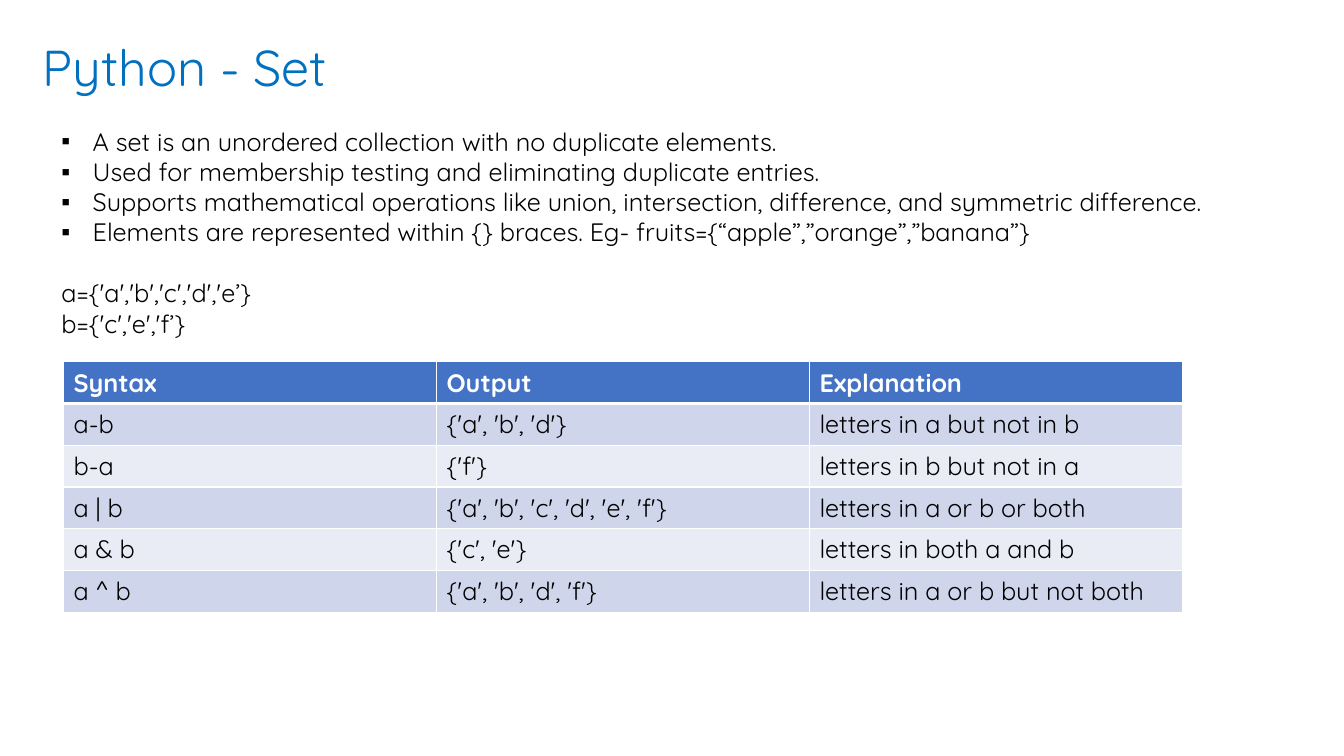
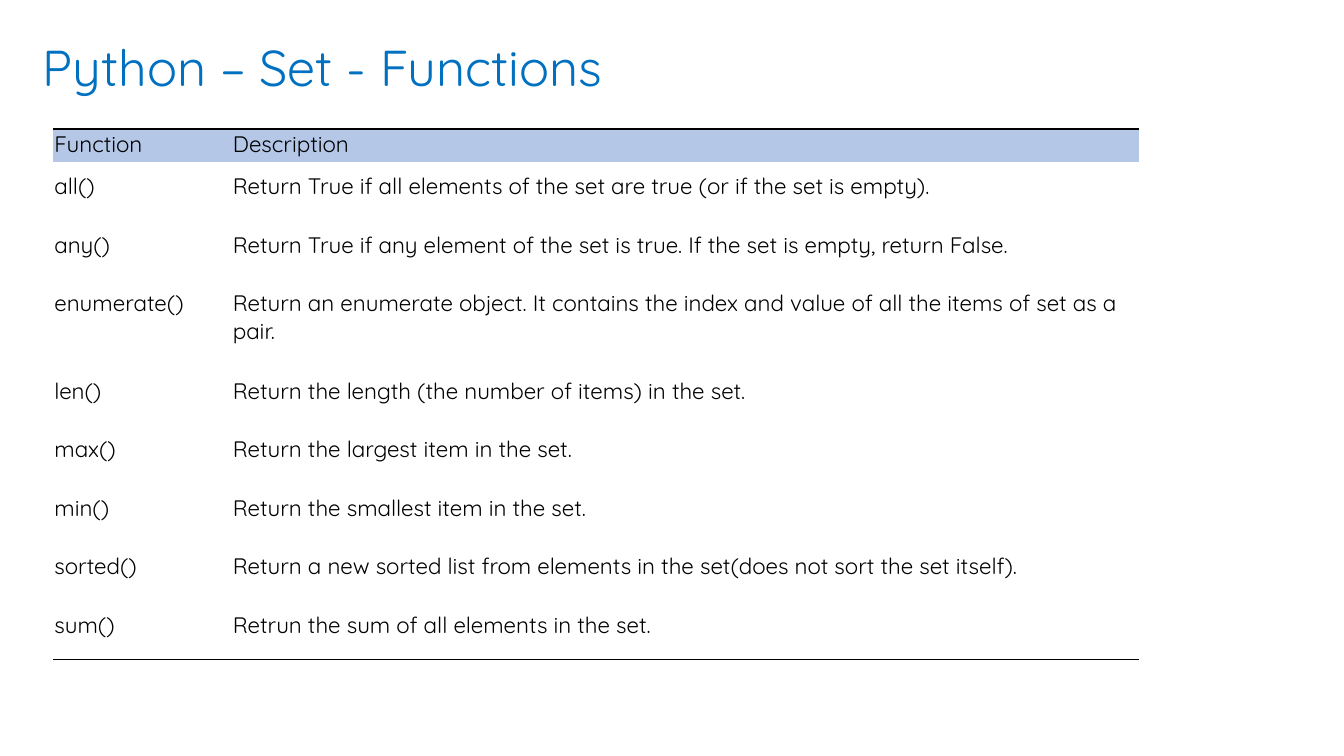
from lxml import etree
from pptx import Presentation
from pptx.dml.color import RGBColor
from pptx.enum.text import MSO_ANCHOR, MSO_AUTO_SIZE, PP_ALIGN
from pptx.oxml.ns import qn
from pptx.util import Inches, Pt

TOP, LEFT, NO_FIT = MSO_ANCHOR.TOP, PP_ALIGN.LEFT, MSO_AUTO_SIZE.NONE
FONT = "Quicksand"
BLUE, BLACK, WHITE = "0070C0", "000000", "FFFFFF"
HEAD, BANDS = "4472C4", ("CFD5EA", "E9EBF5")
PALE = "B4C7E7"
PLAIN = "{2D5ABB26-0587-4C30-8999-92F81FD0307C}"  # No Style, No Grid
FULL, TITLE_ONLY = 1, 5

POINTS = [
    "A set is an unordered collection with no duplicate elements.",
    "Used for membership testing and eliminating duplicate entries.",
    "Supports mathematical operations like union, intersection, difference, "
    "and symmetric difference.",
    "Elements are represented within {} braces. "
    "Eg- fruits={“apple”,”orange”,”banana”}",
]
CODE = ["a={'a','b','c','d','e’}", "b={'c','e','f’}"]
SYNTAX = [
    ("Syntax", "Output", "Explanation"),
    ("a-b", "{'a', 'b', 'd'}", "letters in a but not in b"),
    ("b-a", "{'f'}", "letters in b but not in a"),
    ("a | b", "{'a', 'b', 'c', 'd', 'e', 'f'}", "letters in a or b or both"),
    ("a & b", "{'c', 'e'}", "letters in both a and b"),
    ("a ^ b", "{'a', 'b', 'd', 'f'}", "letters in a or b but not both"),
]
FUNCTIONS = [
    ("Function", "Description"),
    ("all()", "Return True if all elements of the set are true "
              "(or if the set is empty)."),
    ("any()", "Return True if any element of the set is true. "
              "If the set is empty, return False."),
    ("enumerate()", "Return an enumerate object. It contains the index and "
                    "value of all the items of set as a pair."),
    ("len()", "Return the length (the number of items) in the set."),
    ("max()", "Return the largest item in the set."),
    ("min()", "Return the smallest item in the set."),
    ("sorted()", "Return a new sorted list from elements in the set"
                 "(does not sort the set itself)."),
    ("sum()", "Retrun the sum of all elements in the set."),
]


def style(para, size, color=BLACK, bold=False):
    for run in para.runs:
        font = run.font
        font.name, font.size, font.bold = FONT, Pt(size), bold
        font.color.rgb = RGBColor.from_string(color)


def place(shape, left, top, width, height):
    shape.left, shape.top = Inches(left), Inches(top)
    shape.width, shape.height = Inches(width), Inches(height)


def add_slide(prs, layout, title):
    slide = prs.slides.add_slide(prs.slide_layouts[layout])
    shape = slide.shapes.title
    place(shape, 0.32, 0.31, 9.51, 0.71)
    frame = shape.text_frame
    frame.text = title
    frame.vertical_anchor, frame.auto_size = TOP, NO_FIT
    frame.paragraphs[0].alignment = LEFT
    style(frame.paragraphs[0], 36, BLUE)
    return slide


def mark(para, char=None):
    """Set a hanging bullet, or none when no character is given."""
    props = para._p.get_or_add_pPr()
    hang = Inches(0.31) if char else 0
    props.set("marL", str(hang))
    props.set("indent", str(-hang))
    if char:
        etree.SubElement(props, qn("a:buFont"), typeface="Arial")
        etree.SubElement(props, qn("a:buChar"), char=char)
    else:
        etree.SubElement(props, qn("a:buNone"))


def fill_body(shape, points, code):
    place(shape, 0.51, 1.2, 12.54, 2.83)
    frame = shape.text_frame
    frame.text = "\n".join(points + code)
    frame.auto_size = NO_FIT
    for i, para in enumerate(frame.paragraphs):
        mark(para, "▪" if i < len(points) else None)
        para.space_before = Pt(22 if i == len(points) else 0)
        style(para, 18)


def add_table(slide, rows, left, top, widths, heights):
    frame = slide.shapes.add_table(
        len(rows), len(widths), Inches(left), Inches(top),
        Inches(sum(widths)), Inches(sum(heights)))
    table = frame.table
    table._tbl.tblPr.find(qn("a:tableStyleId")).text = PLAIN
    table.horz_banding = False
    for col, width in zip(table.columns, widths):
        col.width = Inches(width)
    for row, height, texts in zip(table.rows, heights, rows):
        row.height = Inches(height)
        for cell, text in zip(row.cells, texts):
            cell.text = text
    return table


def border(cell, sides, color, width=1):
    """Draw the sides, a string of L, R, T and B in that order."""
    props = cell._tc.get_or_add_tcPr()
    for side in sides:
        line = etree.SubElement(props, qn(f"a:ln{side}"), w=str(Pt(width)))
        fill = etree.SubElement(line, qn("a:solidFill"))
        etree.SubElement(fill, qn("a:srgbClr"), val=color)


def paint(cell, color):
    cell.fill.solid()
    cell.fill.fore_color.rgb = RGBColor.from_string(color)


def pad(cell, top, bottom):
    cell.margin_left = cell.margin_right = Inches(0.01)
    cell.margin_top, cell.margin_bottom = Inches(top), Inches(bottom)


def add_syntax(slide):
    table = add_table(slide, SYNTAX, 0.63, 3.59, [3.7] * 3,
                      [0.41] * len(SYNTAX))
    for i, row in enumerate(table.rows):
        head = i == 0
        for cell in row.cells:
            border(cell, "LRT" if head else "LR", WHITE)
            border(cell, "B", WHITE, 3 if head else 1)
            paint(cell, HEAD if head else BANDS[(i - 1) % 2])
            style(cell.text_frame.paragraphs[0], 18,
                  WHITE if head else BLACK, head)


def add_functions(slide):
    heights = [0.33] + [0.58] * (len(FUNCTIONS) - 1)
    heights[3] = 0.87
    table = add_table(slide, FUNCTIONS, 0.53, 1.28, [1.77, 9], heights)
    last = len(FUNCTIONS) - 1
    for i, row in enumerate(table.rows):
        for cell in row.cells:
            if i == 0:
                pad(cell, 0.01, 0)
                border(cell, "T", BLACK)
                paint(cell, PALE)
            else:
                pad(cell, 0.1, 0.09)
                border(cell, "B" if i == last else "", BLACK)
                cell.fill.background()
            style(cell.text_frame.paragraphs[0], 16)


def main():
    prs = Presentation()
    prs.slide_width, prs.slide_height = Inches(13.33), Inches(7.5)
    slide = add_slide(prs, FULL, "Python - Set")
    fill_body(slide.placeholders[1], POINTS, CODE)
    add_syntax(slide)
    add_functions(add_slide(prs, TITLE_ONLY, "Python – Set - Functions"))
    prs.save("out.pptx")


if __name__ == "__main__":
    main()
